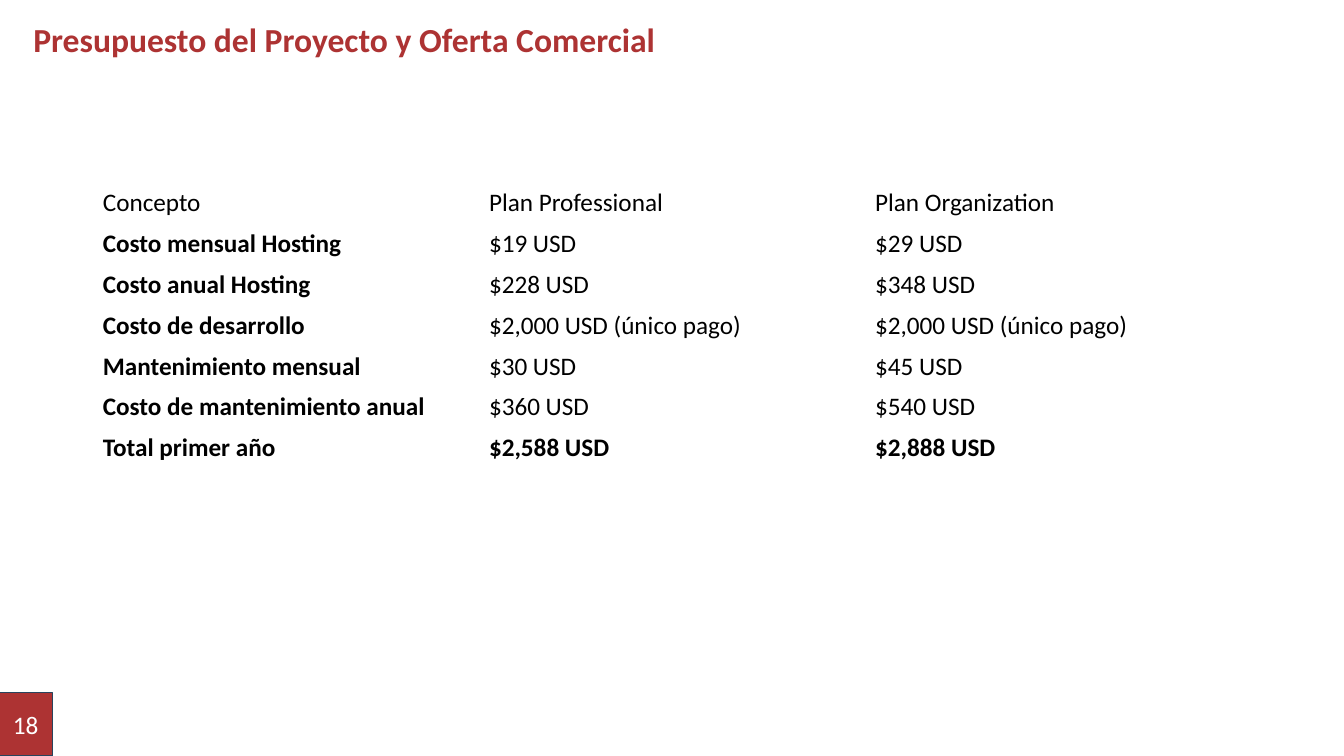
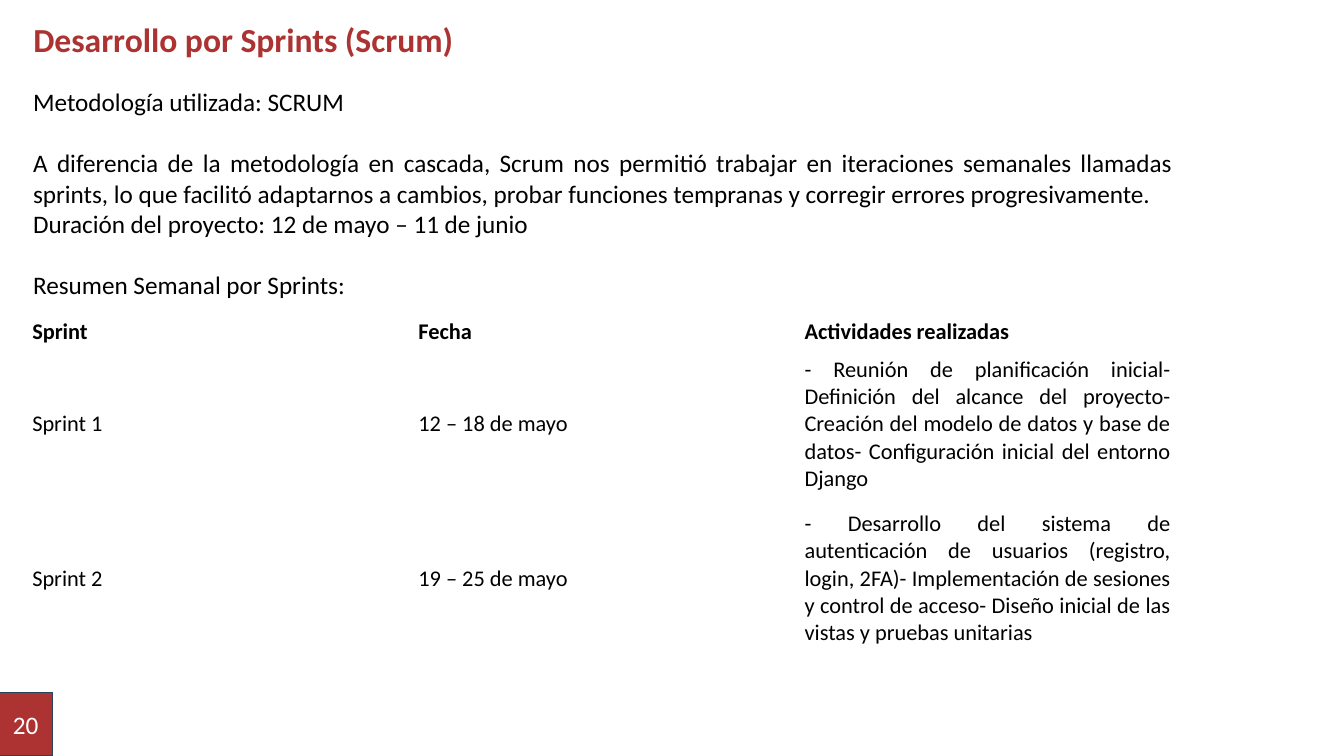
"""Builds two project slides: the budget table and the sprint summary."""
from pptx import Presentation
from pptx import util as u
from pptx.dml.color import RGBColor
from pptx.enum import shapes, text

RED, NAVY, BLACK, WHITE = "AD3333", "28445D", "000000", "FFFFFF"
FONT = "Calibri"
COLUMN_WIDTH = 3.83
TITLE_ONLY = 5

BUDGET = [
    ("Concepto", "Plan Professional", "Plan Organization"),
    ("Costo mensual Hosting", "$19 USD", "$29 USD"),
    ("Costo anual Hosting", "$228 USD", "$348 USD"),
    ("Costo de desarrollo", "$2,000 USD (único pago)", "$2,000 USD (único pago)"),
    ("Mantenimiento mensual", "$30 USD", "$45 USD"),
    ("Costo de mantenimiento anual", "$360 USD", "$540 USD"),
    ("Total primer año", "$2,588 USD", "$2,888 USD"),
]

METHOD = [
    ("Metodología utilizada: SCRUM", 0),
    ("A diferencia de la metodología en cascada, Scrum nos permitió trabajar en "
     "iteraciones semanales llamadas sprints, lo que facilitó adaptarnos a cambios, "
     "probar funciones tempranas y corregir errores progresivamente.", 22),
    ("Duración del proyecto: 12 de mayo – 11 de junio", 0),
    ("Resumen Semanal por Sprints:", 22),
]

SPRINTS = [
    ("Sprint", "Fecha", "Actividades realizadas"),
    ("Sprint 1", "12 – 18 de mayo",
     "- Reunión de planificación inicial- Definición del alcance del proyecto- "
     "Creación del modelo de datos y base de datos- Configuración inicial del "
     "entorno Django"),
    ("Sprint 2", "19 – 25 de mayo",
     "- Desarrollo del sistema de autenticación de usuarios (registro, login, 2FA)- "
     "Implementación de sesiones y control de acceso- Diseño inicial de las vistas "
     "y pruebas unitarias"),
]


def color(value):
    """Return the colour for a hex string."""
    return RGBColor.from_string(value)


def style(para, size, ink=BLACK, bold=False, align=text.PP_ALIGN.LEFT):
    """Set the font and alignment of a paragraph."""
    para.alignment = align
    para.font.name = FONT
    para.font.size = u.Pt(size)
    para.font.bold = bold
    para.font.color.rgb = color(ink)


def add_page(deck, title, number, width, height):
    """Add a slide with its title and numbered corner box."""
    page = deck.slides.add_slide(deck.slide_layouts[TITLE_ONLY])
    heading = page.shapes.title
    heading.left, heading.top = u.Inches(0.23), u.Inches(0.18)
    heading.width, heading.height = u.Inches(width), u.Inches(height)
    frame = heading.text_frame
    frame.text = title
    frame.auto_size = text.MSO_AUTO_SIZE.NONE
    frame.vertical_anchor = text.MSO_ANCHOR.TOP
    frame.paragraphs[0].line_spacing = 0.9
    style(frame.paragraphs[0], 24, RED, bold=True)
    add_number(page, number)
    return page


def add_number(page, number):
    """Draw the page number box in the bottom left corner."""
    box = page.shapes.add_shape(shapes.MSO_SHAPE.RECTANGLE, u.Inches(-0.01),
                                u.Inches(6.87), u.Inches(0.53), u.Inches(0.63))
    box.shadow.inherit = False
    box.fill.solid()
    box.fill.fore_color.rgb = color(RED)
    box.line.color.rgb = color(NAVY)
    box.line.width = u.Pt(1)
    frame = box.text_frame
    frame.text = str(number)
    frame.vertical_anchor = text.MSO_ANCHOR.MIDDLE
    style(frame.paragraphs[0], 18, WHITE, align=text.PP_ALIGN.CENTER)


def add_paragraphs(page, items, left, top, width, height):
    """Add a text box of justified paragraphs, each with its space before."""
    box = page.shapes.add_textbox(u.Inches(left), u.Inches(top),
                                  u.Inches(width), u.Inches(height))
    frame = box.text_frame
    frame.word_wrap = True
    for index, (words, gap) in enumerate(items):
        para = frame.add_paragraph() if index else frame.paragraphs[0]
        para.text = words
        para.space_before = u.Pt(gap)
        style(para, 18, align=text.PP_ALIGN.JUSTIFY)


def add_table(page, rows, left, top, heights, size, is_bold, is_justified):
    """Add a plain table whose bold and justified cells follow the given rules."""
    columns = len(rows[0])
    table = page.shapes.add_table(
        len(rows), columns, u.Inches(left), u.Inches(top),
        u.Inches(COLUMN_WIDTH * columns), u.Inches(sum(heights))).table
    table.first_row = table.horz_banding = False
    for column in table.columns:
        column.width = u.Inches(COLUMN_WIDTH)
    for r, (values, height) in enumerate(zip(rows, heights)):
        table.rows[r].height = u.Inches(height)
        for c, value in enumerate(values):
            cell = table.cell(r, c)
            cell.text = value
            cell.fill.background()
            cell.vertical_anchor = text.MSO_ANCHOR.MIDDLE
            align = text.PP_ALIGN.JUSTIFY if is_justified(r, c) else text.PP_ALIGN.LEFT
            style(cell.text_frame.paragraphs[0], size, bold=is_bold(r, c), align=align)


def add_budget(deck):
    """Add the budget slide."""
    page = add_page(deck, "Presupuesto del Proyecto y Oferta Comercial", 18, 11.5, 1.08)
    last = len(BUDGET) - 1
    add_table(page, BUDGET, 0.92, 1.81, [0.4] * len(BUDGET), 18,
              is_bold=lambda r, c: r == last or (r > 0 and c == 0),
              is_justified=lambda r, c: False)


def add_sprints(deck):
    """Add the sprint summary slide."""
    page = add_page(deck, "Desarrollo por Sprints (Scrum)", 20, 4.65, 0.63)
    add_paragraphs(page, METHOD, 0.23, 0.81, 11.5, 2.24)
    add_table(page, SPRINTS, 0.22, 3.11, [0.37, 1.46, 1.6], 16,
              is_bold=lambda r, c: r == 0,
              is_justified=lambda r, c: r > 0 and c == 2)


def main():
    """Build and save the deck."""
    deck = Presentation()
    deck.slide_width, deck.slide_height = u.Inches(13.33), u.Inches(7.5)
    add_budget(deck)
    add_sprints(deck)
    deck.save("out.pptx")


if __name__ == "__main__":
    main()
